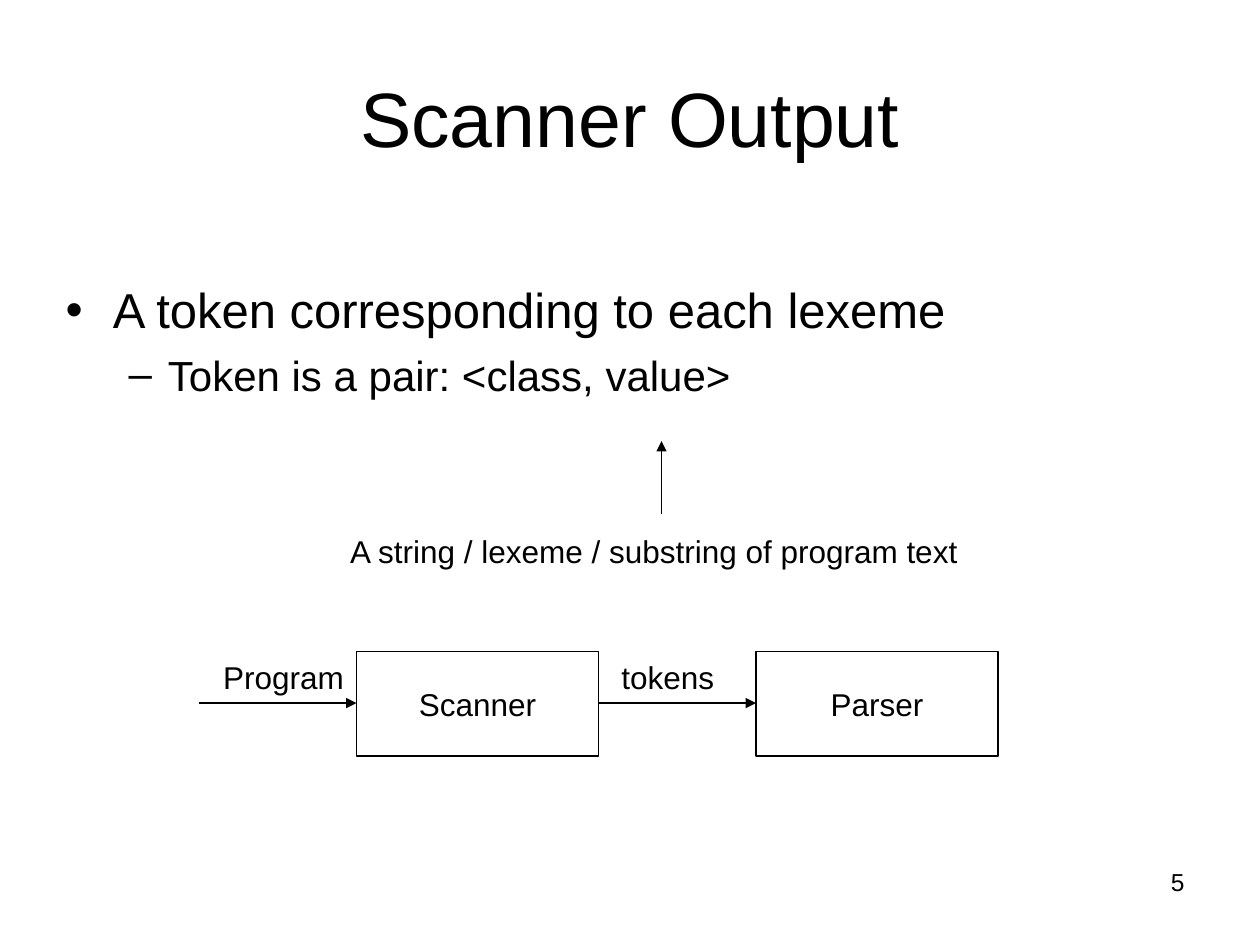
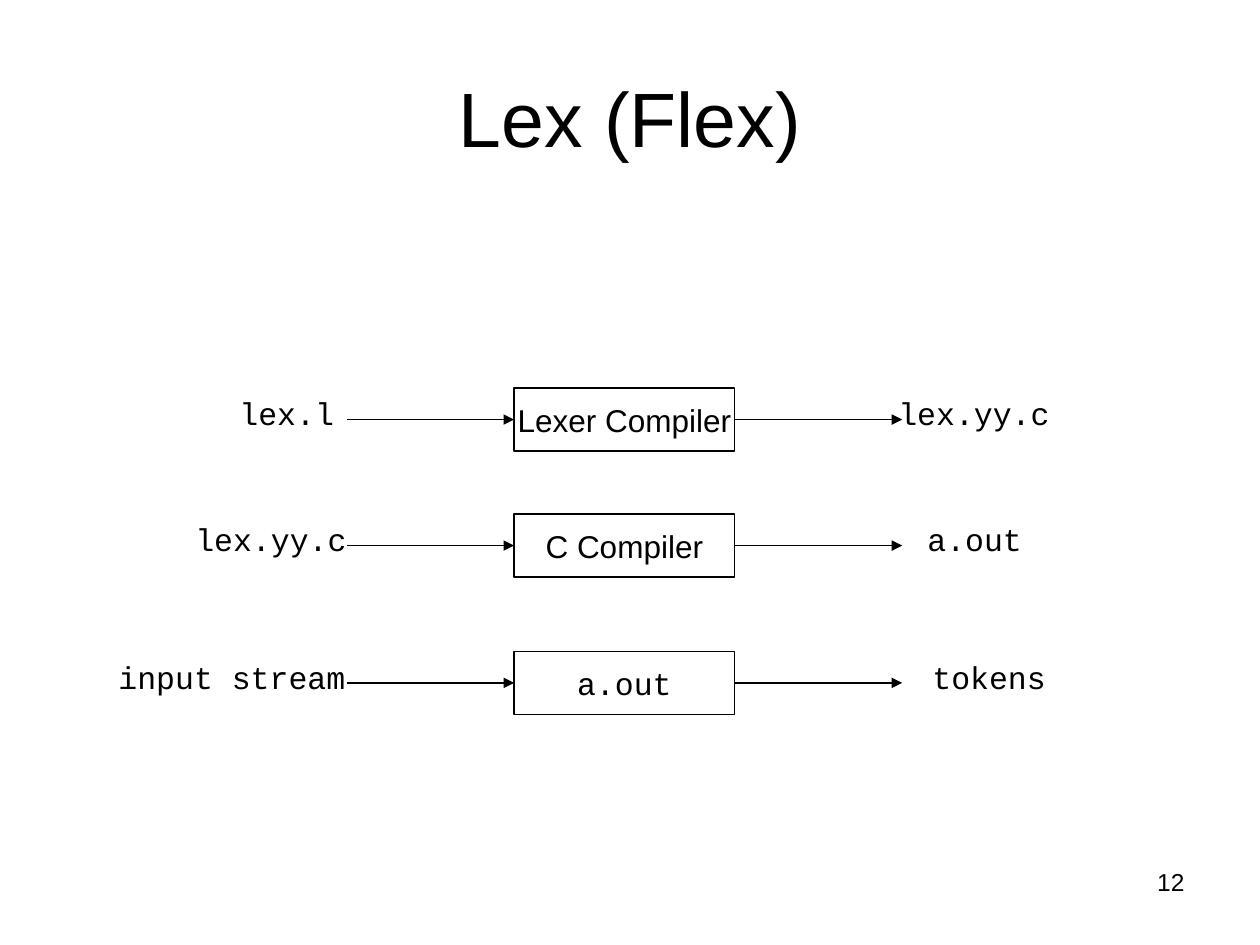
from dataclasses import dataclass

from lxml import etree
from pptx import Presentation
from pptx import util as u
from pptx.dml.color import RGBColor
from pptx.enum import shapes, text
from pptx.oxml import ns

PX = u.Inches(1) // 100  # 100 px to the inch
BLACK = RGBColor(0x00, 0x00, 0x00)
SANS, MONO = "Arial", "Courier New"
LINE_WIDTH = u.Pt(0.75)
LABEL_HEIGHT = 40

# Text frame formats
PLAIN = {"word_wrap": True, "auto_size": text.MSO_AUTO_SIZE.NONE}
TITLE = {**PLAIN, "vertical_anchor": text.MSO_ANCHOR.MIDDLE}
BODY = {**PLAIN, "vertical_anchor": text.MSO_ANCHOR.TOP}
IN_BOX = {**TITLE, "word_wrap": False}
LABEL = {"word_wrap": False, "auto_size": text.MSO_AUTO_SIZE.SHAPE_TO_FIT_TEXT}


@dataclass(frozen=True)
class Area:
    left: int
    top: int
    width: int
    height: int

    def emu(self) -> list[int]:
        return [side * PX for side in (self.left, self.top, self.width, self.height)]


@dataclass(frozen=True)
class Label:
    words: str
    area: Area
    font: str = SANS


@dataclass(frozen=True)
class Stage:
    """One row of the Lex pipeline: input, tool, output."""
    top: int
    source: str
    source_left: int
    tool: str
    tool_font: str
    result: str
    result_left: int


TITLE_AREA = Area(50, 30, 900, 125)
BODY_AREA = Area(42, 217, 942, 495)
NUMBER_AREA = Area(717, 683, 233, 52)


# Shared drawing functions
def apply(target, formats: dict) -> None:
    for name, value in formats.items():
        setattr(target, name, value)


def style_paragraph(paragraph, size: int, font: str = SANS,
                    align=text.PP_ALIGN.CENTER, before: int = 0) -> None:
    apply(paragraph, {"alignment": align, "space_before": u.Pt(before)})
    apply(paragraph.font, {"size": u.Pt(size), "name": font})
    paragraph.font.color.rgb = BLACK


def write(shape, words: str, size: int, frame_format: dict, font: str = SANS,
          align=text.PP_ALIGN.CENTER) -> None:
    shape.text_frame.text = words
    apply(shape.text_frame, frame_format)
    style_paragraph(shape.text_frame.paragraphs[0], size, font, align)


def place(shape, area: Area) -> None:
    apply(shape, dict(zip(("left", "top", "width", "height"), area.emu())))


def start_slide(deck, layout: int, title: str, number: int):
    slide = deck.slides.add_slide(deck.slide_layouts[layout])
    place(slide.shapes.title, TITLE_AREA)
    write(slide.shapes.title, title, 44, TITLE)
    page_number = slide.shapes.add_textbox(*NUMBER_AREA.emu())
    write(page_number, str(number), 14, PLAIN, align=text.PP_ALIGN.RIGHT)
    return slide


def draw_box(canvas, box: Label) -> None:
    shape = canvas.add_shape(shapes.MSO_SHAPE.RECTANGLE, *box.area.emu())
    shape.shadow.inherit = False
    shape.fill.background()
    shape.line.color.rgb = BLACK
    shape.line.width = LINE_WIDTH
    write(shape, box.words, 18, IN_BOX, box.font)


def draw_label(canvas, label: Label) -> None:
    write(canvas.add_textbox(*label.area.emu()), label.words, 18, LABEL, label.font)


def draw_arrow(canvas, x1: int, y1: int, x2: int, y2: int) -> None:
    arrow = canvas.add_connector(shapes.MSO_CONNECTOR.STRAIGHT,
                                 *(end * PX for end in (x1, y1, x2, y2)))
    arrow.line.color.rgb = BLACK
    arrow.line.width = LINE_WIDTH
    etree.SubElement(arrow.line._get_or_add_ln(), ns.qn("a:tailEnd"), type="triangle")
    etree.SubElement(arrow._element.spPr, ns.qn("a:effectLst"))


# Scanner output slide
def build_scanner_output(deck) -> None:
    slide = start_slide(deck, 1, "Scanner Output", 5)
    canvas = slide.shapes

    points = slide.placeholders[1]
    place(points, BODY_AREA)
    write(points, "A token corresponding to each lexeme", 28, BODY,
          align=text.PP_ALIGN.LEFT)
    pair = points.text_frame.add_paragraph()
    pair.text = "Token is a pair: <class, value>"
    pair.level = 1
    style_paragraph(pair, 24, align=text.PP_ALIGN.LEFT, before=6)

    draw_arrow(canvas, 525, 408, 525, 350)

    # Each phase is a box with an arrow leading into it
    top, width, height, gap = 517, 192, 83, 125
    for step, phase in enumerate(("Scanner", "Parser")):
        left = 283 + step * (width + gap)
        draw_box(canvas, Label(phase, Area(left, top, width, height)))
        draw_arrow(canvas, left - gap, 558, left, 558)

    # Labels are a little wider than their words, so none breaks
    for label in (
        Label("A string / lexeme / substring of program text",
              Area(265, 417, 508, LABEL_HEIGHT)),
        Label("Program", Area(165, top, 120, LABEL_HEIGHT)),
        Label("tokens", Area(480, top, 100, LABEL_HEIGHT)),
    ):
        draw_label(canvas, label)


# Lex slide
STAGES = (
    Stage(308, "lex.l", 178, "Lexer Compiler", SANS, "lex.yy.c", 701),
    Stage(408, "lex.yy.c", 143, "C Compiler", SANS, "a.out", 724),
    Stage(517, "input stream", 82, "a.out", MONO, "tokens", 728),
)


def code_label(words: str, left: int, top: int) -> Label:
    """A fixed-pitch label: 15 px a letter, plus insets and a little slack."""
    return Label(words, Area(left, top, 15 * len(words) + 24, LABEL_HEIGHT), MONO)


def build_lex(deck) -> None:
    slide = start_slide(deck, 5, "Lex (Flex)", 12)
    canvas = slide.shapes.add_group_shape().shapes
    left, width, height, reach = 408, 175, 50, 133
    right = left + width
    for stage in STAGES:
        middle = stage.top + height // 2
        draw_box(canvas, Label(stage.tool, Area(left, stage.top, width, height),
                               stage.tool_font))
        draw_arrow(canvas, left - reach, middle, left, middle)
        draw_arrow(canvas, right, middle, right + reach, middle)
        draw_label(canvas, code_label(stage.source, stage.source_left, stage.top))
        draw_label(canvas, code_label(stage.result, stage.result_left, stage.top))


def main() -> None:
    deck = Presentation()
    deck.slide_width, deck.slide_height = 1000 * PX, 750 * PX
    build_scanner_output(deck)
    build_lex(deck)
    deck.save("out.pptx")


if __name__ == "__main__":
    main()
